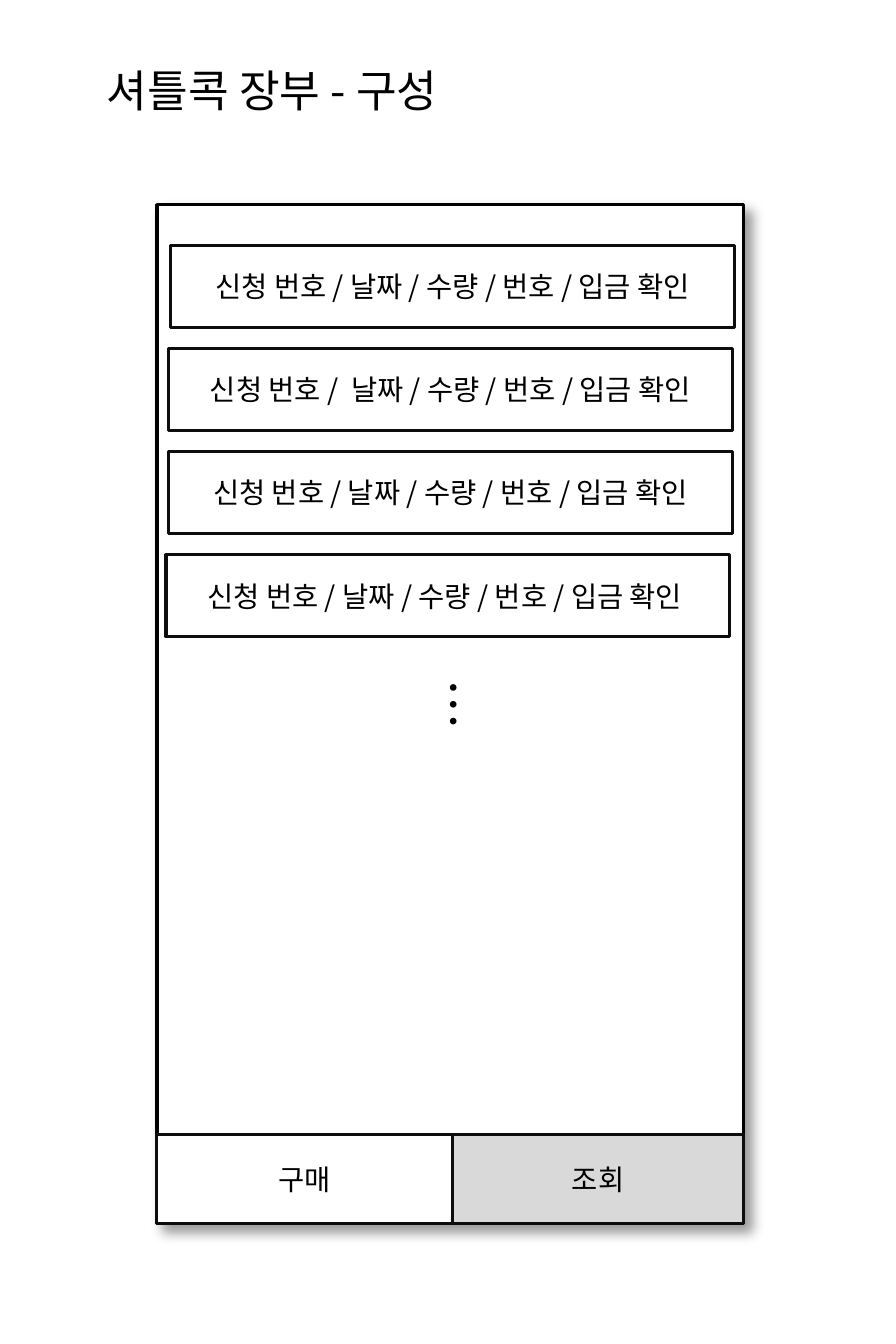
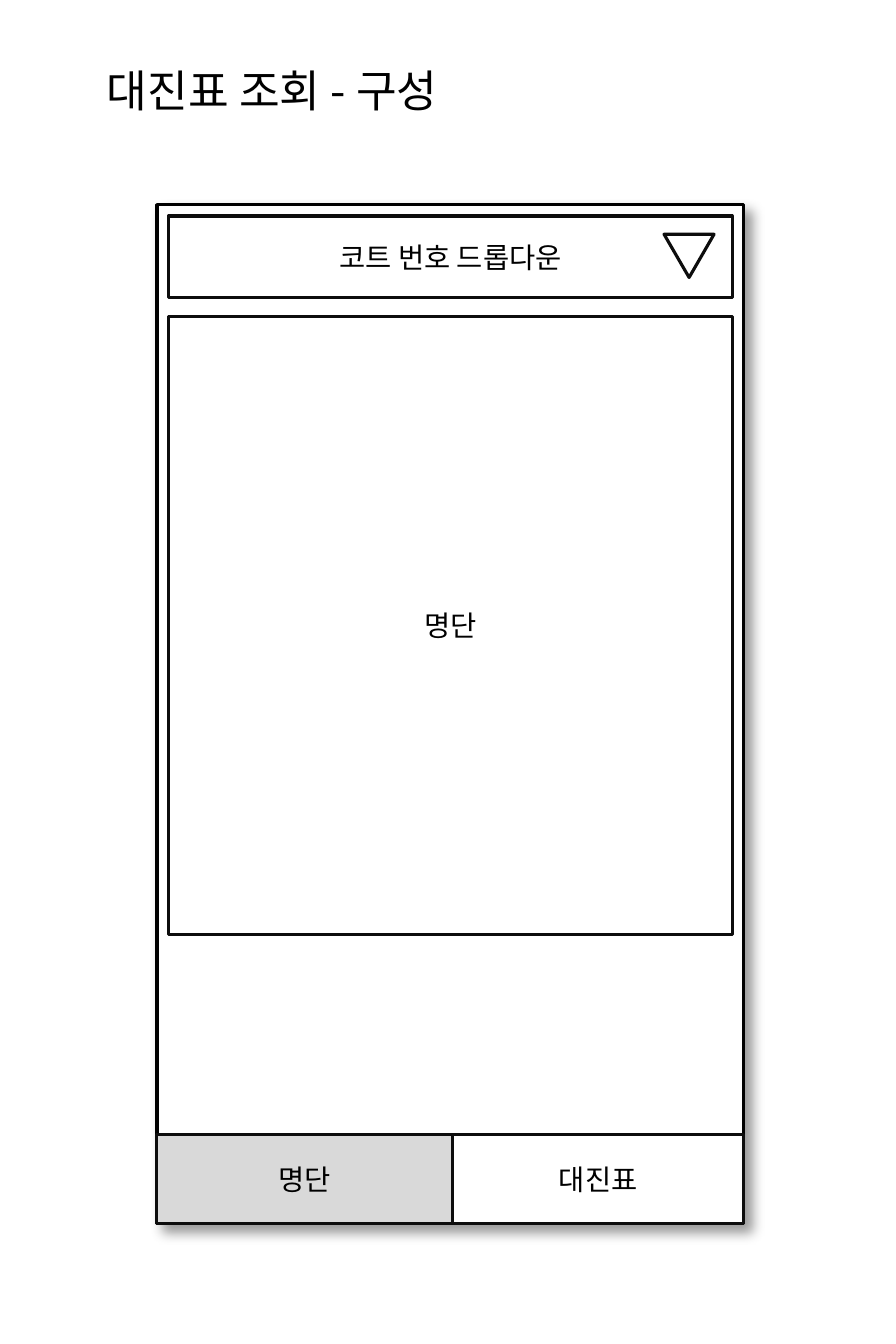
from lxml import etree
from pptx import Presentation
from pptx.dml.color import RGBColor
from pptx.enum import shapes, text
from pptx.oxml import ns
from pptx.util import Inches, Pt

COLORS = {"ink": "000000", "line": "0D0D0D", "paper": "FFFFFF", "active": "D9D9D9"}
FONT = "Noto Sans CJK KR"
PHONE_LEFT, PHONE_TOP, PHONE_WIDTH, PHONE_HEIGHT = 0.69, 0.9, 2.58, 4.48
TAB_TOP, TAB_HEIGHT = 4.99, 0.39
TAB_WIDTHS = (1.3, 1.28)
FIELD_LEFT, FIELD_WIDTH, FIELD_HEIGHT = 0.74, 2.48, 0.36


def write_text(shape, words, size=9, align=text.PP_ALIGN.CENTER,
               anchor=text.MSO_ANCHOR.MIDDLE, wrap=True):
    frame = shape.text_frame
    frame.word_wrap = wrap
    frame.vertical_anchor = anchor
    if not wrap:
        frame.auto_size = text.MSO_AUTO_SIZE.SHAPE_TO_FIT_TEXT
    paragraph = frame.paragraphs[0]
    paragraph.alignment = align
    run = paragraph.add_run()
    run.text = words
    run.font.size = Pt(size)
    run.font.name = FONT
    run.font.color.rgb = RGBColor.from_string(COLORS["ink"])
    # Hangul takes its typeface from the East Asian font slot
    etree.SubElement(run.font._element, ns.qn("a:ea"), typeface=FONT)


def add_box(slide, left, top, width, height, words=None, fill="paper", line="line",
            kind=shapes.MSO_SHAPE.RECTANGLE):
    shape = slide.shapes.add_shape(
        kind, Inches(left), Inches(top), Inches(width), Inches(height))
    shape.shadow.inherit = False
    shape.fill.solid()
    shape.fill.fore_color.rgb = RGBColor.from_string(COLORS[fill])
    shape.line.color.rgb = RGBColor.from_string(COLORS[line])
    shape.line.width = Pt(1)
    if words:
        write_text(shape, words)
    return shape


presentation = Presentation()
presentation.slide_width = Inches(3.94)
presentation.slide_height = Inches(5.91)
title_only = presentation.slide_layouts[5]

# Shared by both screens: title, phone frame with shadow, tab bar
screens = [
    ("셔틀콕 장부 - 구성", ("구매", "조회"), "조회"),
    ("대진표 조회 - 구성", ("명단", "대진표"), "명단"),
]
slides = []
for heading, tabs, active_tab in screens:
    slide = presentation.slides.add_slide(title_only)
    slides.append(slide)

    title = slide.shapes.title
    title.left, title.top = Inches(0.37), Inches(0.23)
    title.width, title.height = Inches(1.8), Inches(0.34)
    write_text(title, heading, size=14, align=text.PP_ALIGN.LEFT,
               anchor=text.MSO_ANCHOR.TOP, wrap=False)

    phone = add_box(slide, PHONE_LEFT, PHONE_TOP, PHONE_WIDTH, PHONE_HEIGHT, line="ink")
    effects = phone._element.spPr.find(ns.qn("a:effectLst"))
    shadow = etree.SubElement(
        effects, ns.qn("a:outerShdw"), blurRad=str(Pt(4)), dist=str(Pt(3)),
        dir=str(45 * 60000), algn="tl", rotWithShape="0")
    shadow_color = etree.SubElement(shadow, ns.qn("a:srgbClr"), val=COLORS["ink"])
    etree.SubElement(shadow_color, ns.qn("a:alpha"), val="40000")

    tab_left = PHONE_LEFT
    for tab, tab_width in zip(tabs, TAB_WIDTHS):
        add_box(slide, tab_left, TAB_TOP, tab_width, TAB_HEIGHT, tab,
                fill="active" if tab == active_tab else "paper")
        tab_left += tab_width

ledger, bracket = slides

# Ledger: evenly spaced entries, then an ellipsis turned upright
entries = [
    (0.75, "신청 번호 / 날짜 / 수량 / 번호 / 입금 확인"),
    (0.74, "신청 번호 /  날짜 / 수량 / 번호 / 입금 확인"),
    (0.74, "신청 번호 / 날짜 / 수량 / 번호 / 입금 확인"),
    (0.73, "신청 번호 / 날짜 / 수량 / 번호 / 입금 확인 "),
]
first_top, last_top = 1.08, 2.44
entry_step = (last_top - first_top) / (len(entries) - 1)
for index, (left, words) in enumerate(entries):
    add_box(ledger, left, first_top + index * entry_step, FIELD_WIDTH, FIELD_HEIGHT, words)

ellipsis = ledger.shapes.add_textbox(Inches(1.78), Inches(2.92), Inches(0.43), Inches(0.37))
ellipsis.rotation = 90
write_text(ellipsis, "…", size=16, align=text.PP_ALIGN.LEFT,
           anchor=text.MSO_ANCHOR.TOP, wrap=False)

# Bracket lookup: player list, court dropdown and its arrow
add_box(bracket, FIELD_LEFT, 1.39, FIELD_WIDTH, 2.72, "명단")
add_box(bracket, FIELD_LEFT, 0.95, FIELD_WIDTH, FIELD_HEIGHT, "코트 번호 드롭다운")
arrow = add_box(bracket, 2.92, 1.03, 0.22, 0.19, kind=shapes.MSO_SHAPE.ISOSCELES_TRIANGLE)
arrow.rotation = 180

presentation.save("out.pptx")
